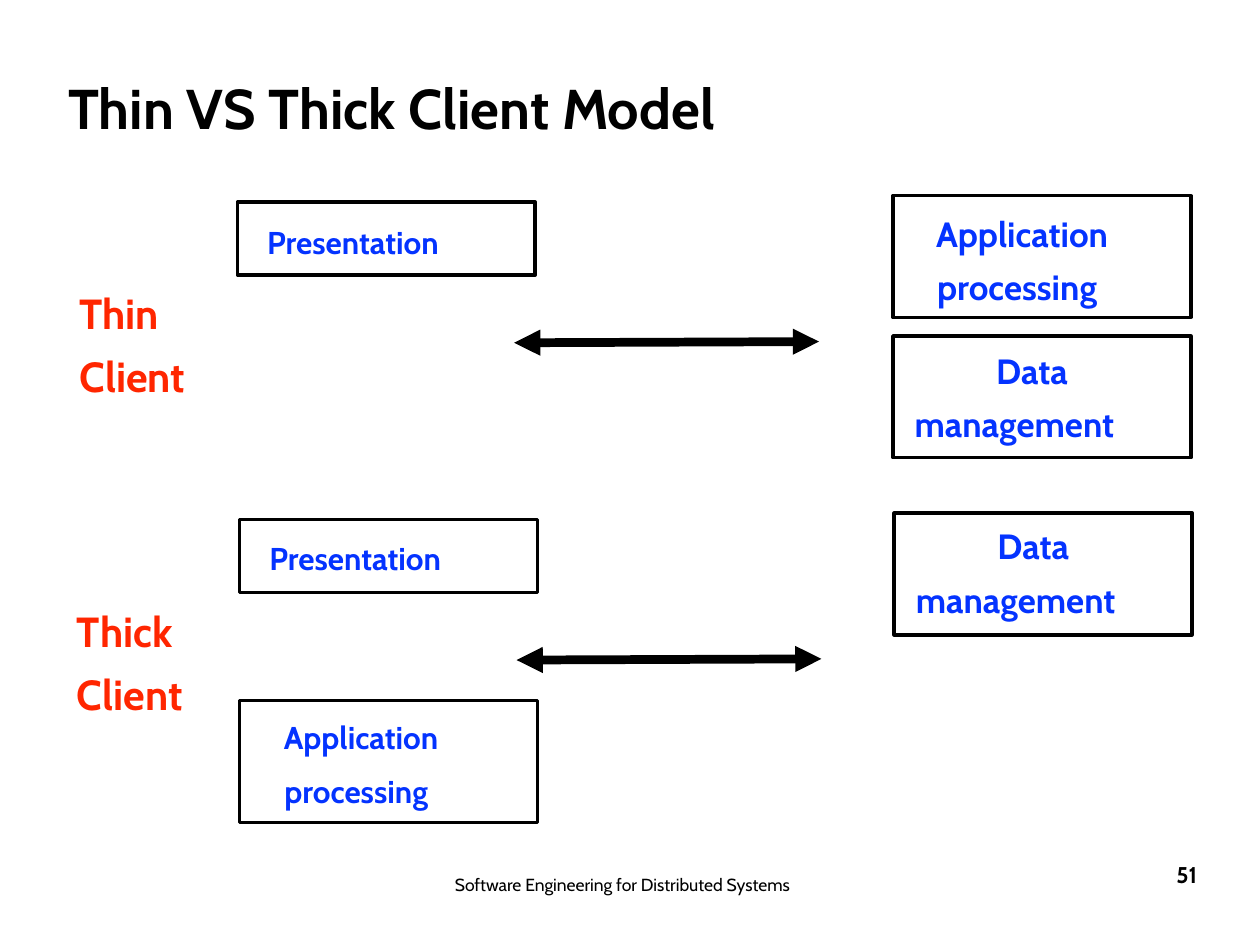
from dataclasses import dataclass

from lxml.etree import SubElement
from pptx import Presentation
from pptx.dml.color import RGBColor
from pptx.enum.shapes import MSO_CONNECTOR, MSO_SHAPE
from pptx.enum.text import MSO_ANCHOR, PP_ALIGN
from pptx.oxml.ns import qn
from pptx.slide import Slide
from pptx.text.text import TextFrame
from pptx.util import Pt

COLORS = {"ink": "000000", "paper": "FFFFFF", "layer": "0433FF", "client": "FF2600"}
FONT = "Cabin"
BOX_WIDTH = 170.2
LINE_SPACING = 30.4


@dataclass
class Line:
    text: str
    indent: float = 0


@dataclass
class Layer:
    left: float
    top: float
    height: float
    text_inset: float
    size: float
    lines: list[Line]


@dataclass
class Label:
    left: float
    top: float
    width: float
    height: float
    lines: list[Line]
    size: float
    color: str = "ink"
    bold: bool = True
    align: PP_ALIGN = PP_ALIGN.LEFT
    spacing: float | None = None
    text_inset: float = 0
    filled: bool = False


@dataclass
class Arrow:
    left: float
    right: float
    left_y: float
    right_y: float


def write_lines(frame: TextFrame, lines: list[Line], size: float, color: str,
                bold: bool = True, align: PP_ALIGN = PP_ALIGN.LEFT,
                spacing: float | None = None, top_inset: float = 0) -> None:
    frame.word_wrap = True
    frame.vertical_anchor = MSO_ANCHOR.TOP
    frame.margin_left = frame.margin_right = frame.margin_bottom = 0
    frame.margin_top = Pt(top_inset)
    frame.text = "\n".join(line.text for line in lines)
    for paragraph, line in zip(frame.paragraphs, lines):
        paragraph.alignment = align
        if spacing:
            paragraph.line_spacing = Pt(spacing)
        if line.indent:
            paragraph._p.get_or_add_pPr().set("marL", str(Pt(line.indent)))
        for run in paragraph.runs:
            run.font.name = FONT
            run.font.size = Pt(size)
            run.font.bold = bold
            run.font.color.rgb = RGBColor.from_string(COLORS[color])


def add_layer(slide: Slide, layer: Layer) -> None:
    shape = slide.shapes.add_shape(MSO_SHAPE.RECTANGLE, Pt(layer.left), Pt(layer.top),
                                   Pt(BOX_WIDTH), Pt(layer.height))
    shape.shadow.inherit = False
    shape.fill.solid()
    shape.fill.fore_color.rgb = RGBColor.from_string(COLORS["paper"])
    shape.line.color.rgb = RGBColor.from_string(COLORS["ink"])
    shape.line.width = Pt(2)
    write_lines(shape.text_frame, layer.lines, layer.size, "layer",
                spacing=LINE_SPACING, top_inset=layer.text_inset)


def add_label(slide: Slide, label: Label) -> None:
    shape = slide.shapes.add_textbox(Pt(label.left), Pt(label.top),
                                     Pt(label.width), Pt(label.height))
    if label.filled:
        shape.fill.solid()
        shape.fill.fore_color.rgb = RGBColor.from_string(COLORS["paper"])
    write_lines(shape.text_frame, label.lines, label.size, label.color,
                label.bold, label.align, label.spacing, label.text_inset)


def add_arrow(slide: Slide, arrow: Arrow) -> None:
    connector = slide.shapes.add_connector(
        MSO_CONNECTOR.STRAIGHT, Pt(arrow.left), Pt(arrow.left_y),
        Pt(arrow.right), Pt(arrow.right_y))
    connector.line.color.rgb = RGBColor.from_string(COLORS["ink"])
    connector.line.width = Pt(5)
    outline = connector.line._get_or_add_ln()
    for end in ("a:headEnd", "a:tailEnd"):
        SubElement(outline, qn(end), type="triangle", w="med", len="med")
    SubElement(connector._element.spPr, qn("a:effectLst"))


def main() -> None:
    presentation = Presentation()
    presentation.slide_width, presentation.slide_height = Pt(720), Pt(540)
    slide = presentation.slides.add_slide(presentation.slide_layouts[5])

    # Title
    title = slide.shapes.title
    title.left, title.top, title.width, title.height = Pt(38.9), Pt(41), Pt(600), Pt(43)
    write_lines(title.text_frame, [Line("Thin VS Thick Client Model")], 32, "ink",
                spacing=39.4)

    # Layers on the client (left) and the server (right)
    client_application = [Line("Application", 25.2), Line("processing", 25.5)]
    server_application = [Line("Application", 24.6), Line("processing", 25.2)]
    data_management = [Line("Data", 59), Line("management", 12.4)]
    presentation_layer = [Line("Presentation", 17)]
    layers = [
        Layer(135.7, 115.4, 41.8, 3.4, 18, presentation_layer),
        Layer(510.3, 111.8, 69.6, 3.4, 20, server_application),
        Layer(510.3, 192, 69.6, 1.4, 20, data_management),
        Layer(137, 296.8, 41.8, 2.4, 18, presentation_layer),
        Layer(137, 400.3, 69.6, 1.4, 18, client_application),
        Layer(511, 293.2, 69.6, 0.4, 20, data_management),
    ]
    for layer in layers:
        add_layer(slide, layer)

    # Client-server links
    for arrow in (Arrow(293.8, 468, 195.9, 195.2), Arrow(295.2, 469.4, 377.2, 376.5)):
        add_arrow(slide, arrow)

    # Model names, footer and page number
    labels = [
        Label(42.5, 146.9, 79.2, 78.3, [Line("Thin", 3), Line("Client", 3)], 24,
              "client", spacing=35.7, text_inset=10.8, filled=True),
        Label(41, 328.5, 92.2, 78.3, [Line("Thick", 3), Line("Client", 3)], 24,
              "client", spacing=35.9, text_inset=10.4, filled=True),
        Label(241.5, 499.7, 228.2, 29.5, [Line("Software Engineering for Distributed Systems")],
              10, bold=False, align=PP_ALIGN.CENTER),
        Label(516.2, 491.8, 167.8, 37.4, [Line("51")], 13, align=PP_ALIGN.RIGHT),
    ]
    for label in labels:
        add_label(slide, label)

    presentation.save("out.pptx")


if __name__ == "__main__":
    main()
